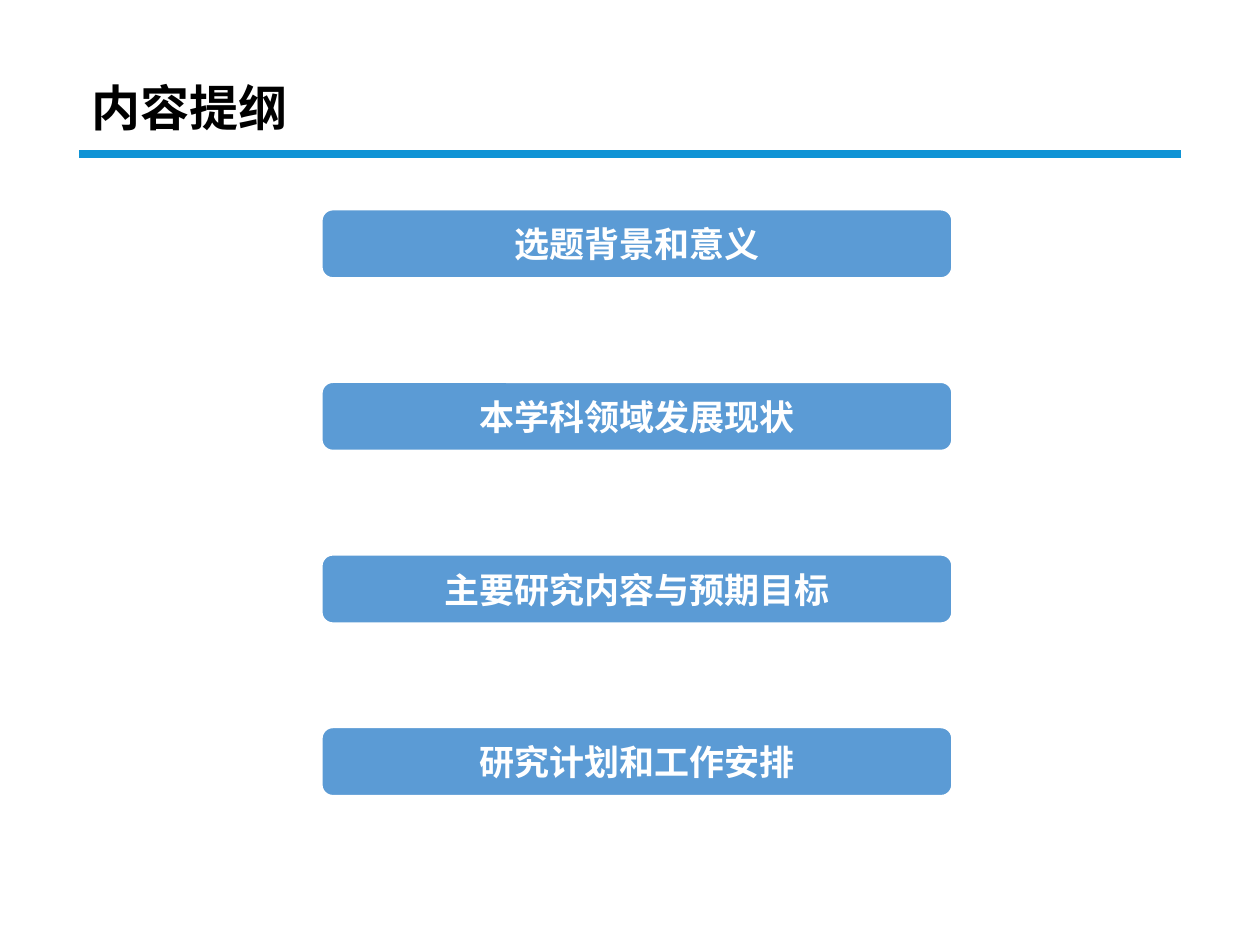
from lxml import etree
from pptx import Presentation
from pptx.dml.color import RGBColor
from pptx.enum import shapes, text
from pptx.oxml.ns import qn
from pptx.util import Pt

FONT = "Noto Sans CJK SC"
TOPICS = ["选题背景和意义", "本学科领域发展现状", "主要研究内容与预期目标", "研究计划和工作安排"]


def rgb(value):
    return RGBColor.from_string(value)


def write(sp, content, size, color, align):
    tf = sp.text_frame
    tf.word_wrap = True
    tf.vertical_anchor = text.MSO_ANCHOR.MIDDLE
    p = tf.paragraphs[0]
    p.text = content
    p.alignment = align
    r = p.runs[0]
    r.font.size = Pt(size)
    r.font.bold = True
    r.font.name = FONT
    r.font.color.rgb = rgb(color)
    etree.SubElement(r.font._element, qn("a:ea"), typeface=FONT)
    return p


def add_header(s, title, x, y, w, h):
    """Place the title above a rule along the bottom of the box."""
    rule = s.shapes.add_connector(
        shapes.MSO_CONNECTOR.STRAIGHT, Pt(x), Pt(y + h), Pt(x + w), Pt(y + h))
    rule.line.color.rgb = rgb("0F93D5")
    rule.line.width = Pt(4.5)
    etree.SubElement(rule._element.spPr, qn("a:effectLst"))
    box = s.shapes.add_textbox(Pt(x), Pt(y), Pt(w - 8.6), Pt(h - 2.2))
    p = write(box, title, 28, "000000", text.PP_ALIGN.LEFT)
    p.line_spacing = 0.9


def add_outline(s, topics, x, y, w, h, bar_height=39.6):
    """Spread one bar per topic evenly from the top to the bottom of the box."""
    step = (h - bar_height) / (len(topics) - 1)
    for i, topic in enumerate(topics):
        bar = s.shapes.add_shape(
            shapes.MSO_SHAPE.ROUNDED_RECTANGLE,
            Pt(x), Pt(y + i * step), Pt(w), Pt(bar_height))
        bar.shadow.inherit = False
        bar.fill.solid()
        bar.fill.fore_color.rgb = rgb("5B9BD5")
        bar.line.color.rgb = rgb("FFFFFF")
        bar.line.width = Pt(1.5)
        write(bar, topic, 20, "FFFFFF", text.PP_ALIGN.CENTER)


def main():
    prs = Presentation()
    prs.slide_width, prs.slide_height = Pt(720), Pt(540)
    s = prs.slides.add_slide(prs.slide_layouts[6])
    add_header(s, "内容提纲", 45.4, 40.3, 629.2, 47.6)
    add_outline(s, TOPICS, 183.6, 119.5, 360.7, 335.5)
    prs.save("out.pptx")


if __name__ == "__main__":
    main()
